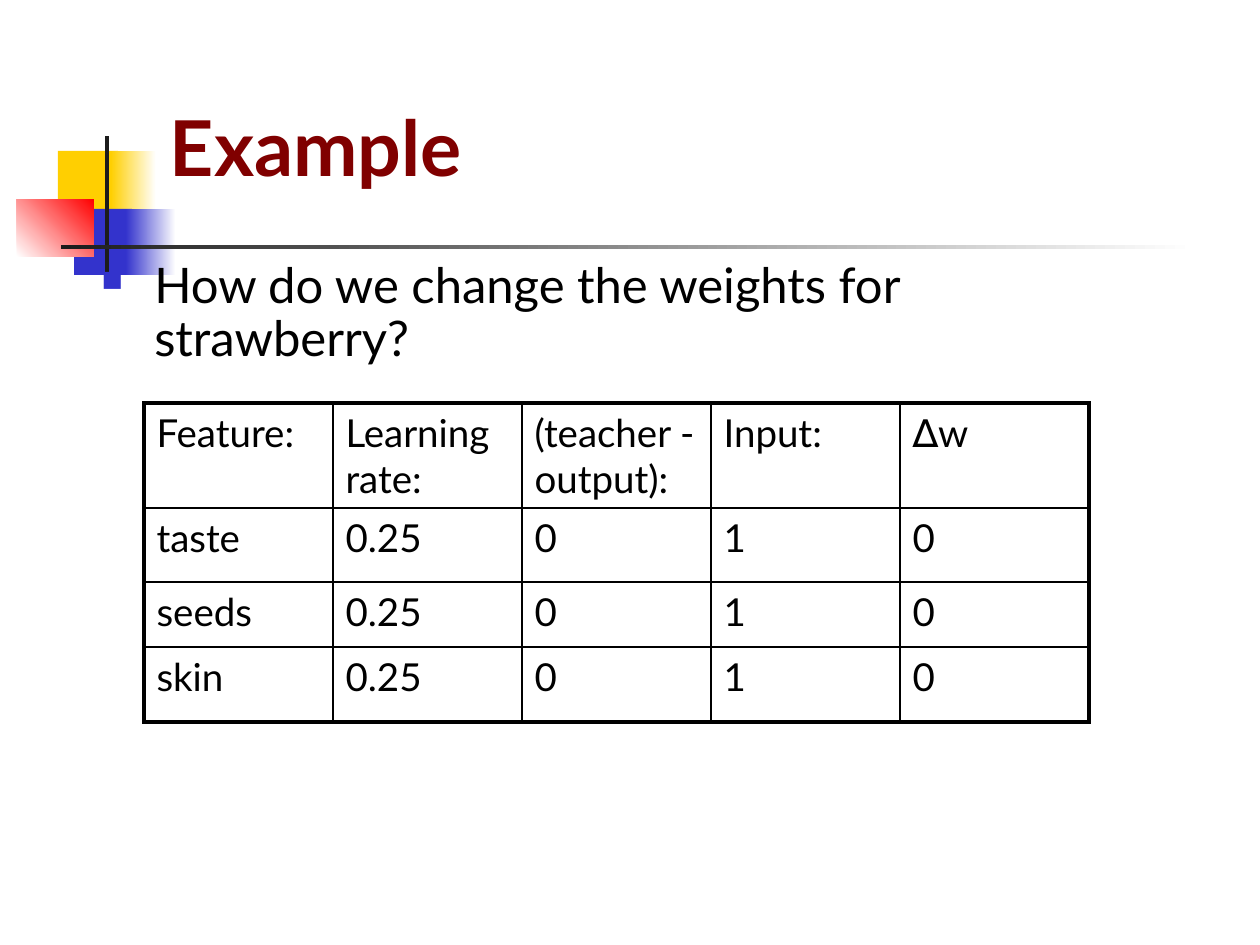
from dataclasses import dataclass

from lxml.etree import SubElement
from pptx import Presentation
from pptx.dml.color import RGBColor
from pptx.enum.shapes import MSO_SHAPE
from pptx.enum.text import MSO_ANCHOR
from pptx.oxml.ns import qn
from pptx.util import Emu, Pt


@dataclass(frozen=True)
class Theme:
    font: str = "Lato"
    title_size: int = 44
    body_size: int = 28
    cell_size: int = 22
    outer_line: float = 2.25
    inner_line: float = 1
    title: str = "800000"
    text: str = "000000"
    gold: str = "FFCF01"
    blue: str = "3333CC"
    red: str = "FF0000"
    dark: str = "1C1C1C"
    paper: str = "FFFFFF"


THEME = Theme()
SLIDE_SIZE = (1260, 945)

TITLE = "Example"
QUESTION = "How do we change the weights for strawberry?"
WEIGHT_CHANGES = [
    ("Feature:", "Learning rate:", "(teacher - output):", "Input:", "∆w"),
    ("taste", "0.25", "0", "1", "0"),
    ("seeds", "0.25", "0", "1", "0"),
    ("skin", "0.25", "0", "1", "0"),
]

# Left, top, width, height, colours from start to end, angle
DECORATIONS = [
    (58, 151, 60, 66, (THEME.gold,), 0),
    (111, 151, 45, 66, (THEME.gold, THEME.paper), 0),
    (74, 209, 58, 66, (THEME.blue,), 0),
    (126, 209, 50, 66, (THEME.blue, THEME.paper), 0),
    (17, 199, 77, 58, (THEME.paper, THEME.red), 45),
    (105, 136, 4, 145, (THEME.dark,), 0),
    (61, 245, 1134, 4, (THEME.dark, THEME.paper), 0),
]
TITLE_BOX = (164, 45, 1073, 202)
QUESTION_BOX = (84, 255, 1071, 567)
TABLE_CORNER = (144, 403)
COLUMN_WIDTH = 189
ROW_HEIGHTS = (105, 74, 65, 75)
TEXT_INDENT, BULLET_OFFSET = 58, -53


def px(length):
    return Emu(round(length * 914400 / 126))


def style(paragraph, size, color, bold=False):
    font = paragraph.font
    font.name, font.size, font.bold = THEME.font, Pt(size), bold
    font.color.rgb = RGBColor.from_string(color)


def add_decoration(slide, left, top, width, height, colors, angle):
    shape = slide.shapes.add_shape(
        MSO_SHAPE.RECTANGLE, *map(px, (left, top, width, height)))
    shape.shadow.inherit = False
    shape.line.fill.background()
    if len(colors) == 1:
        shape.fill.solid()
        shape.fill.fore_color.rgb = RGBColor.from_string(colors[0])
        return
    shape.fill.gradient()
    shape.fill.gradient_angle = angle
    for stop, color in zip(shape.fill.gradient_stops, colors):
        stop.color.rgb = RGBColor.from_string(color)


def add_text(slide, area, text, size, color, bold=False):
    box = slide.shapes.add_textbox(*map(px, area))
    frame = box.text_frame
    frame.word_wrap = True
    paragraph = frame.paragraphs[0]
    paragraph.text = text
    style(paragraph, size, color, bold)
    return frame


def add_bullet(paragraph):
    properties = paragraph._p.get_or_add_pPr()
    properties.set("marL", str(px(TEXT_INDENT)))
    properties.set("indent", str(px(BULLET_OFFSET)))
    color = SubElement(properties, qn("a:buClr"))
    SubElement(color, qn("a:srgbClr"), val=THEME.blue)
    SubElement(properties, qn("a:buSzPct"), val="60000")
    SubElement(properties, qn("a:buChar"), char="■")


def set_borders(cell, outer_edges):
    """Draw all four borders, thicker on the edges that bound the table."""
    properties = cell._tc.get_or_add_tcPr()
    for position, (edge, is_outer) in enumerate(outer_edges.items()):
        width = THEME.outer_line if is_outer else THEME.inner_line
        line = SubElement(properties, qn(f"a:ln{edge}"), w=str(Pt(width)))
        fill = SubElement(line, qn("a:solidFill"))
        SubElement(fill, qn("a:srgbClr"), val=THEME.text)
        properties.insert(position, line)


def add_weight_table(slide):
    row_count, column_count = len(WEIGHT_CHANGES), len(WEIGHT_CHANGES[0])
    size = (COLUMN_WIDTH * column_count, sum(ROW_HEIGHTS))
    table = slide.shapes.add_table(
        row_count, column_count, *map(px, TABLE_CORNER + size)).table
    table.first_row = table.horz_banding = False
    for column in table.columns:
        column.width = px(COLUMN_WIDTH)
    for r, (height, values) in enumerate(zip(ROW_HEIGHTS, WEIGHT_CHANGES)):
        table.rows[r].height = px(height)
        for c, value in enumerate(values):
            cell = table.cell(r, c)
            cell.text = value
            cell.fill.background()
            style(cell.text_frame.paragraphs[0], THEME.cell_size, THEME.text)
            set_borders(cell, {"L": c == 0, "R": c == column_count - 1,
                               "T": r == 0, "B": r == row_count - 1})


def main():
    deck = Presentation()
    deck.slide_width, deck.slide_height = map(px, SLIDE_SIZE)
    slide = deck.slides.add_slide(deck.slide_layouts[6])
    for decoration in DECORATIONS:
        add_decoration(slide, *decoration)

    title = add_text(slide, TITLE_BOX, TITLE, THEME.title_size, THEME.title, bold=True)
    title.vertical_anchor = MSO_ANCHOR.MIDDLE
    title.margin_left = title.margin_right = px(6)

    question = add_text(slide, QUESTION_BOX, QUESTION, THEME.body_size, THEME.text)
    paragraph = question.paragraphs[0]
    paragraph.line_spacing = 0.9
    add_bullet(paragraph)
    # The bullet's elements must come before the default run properties.
    properties = paragraph._p.pPr
    properties.append(properties.find(qn("a:defRPr")))

    add_weight_table(slide)
    deck.save("out.pptx")


if __name__ == "__main__":
    main()
